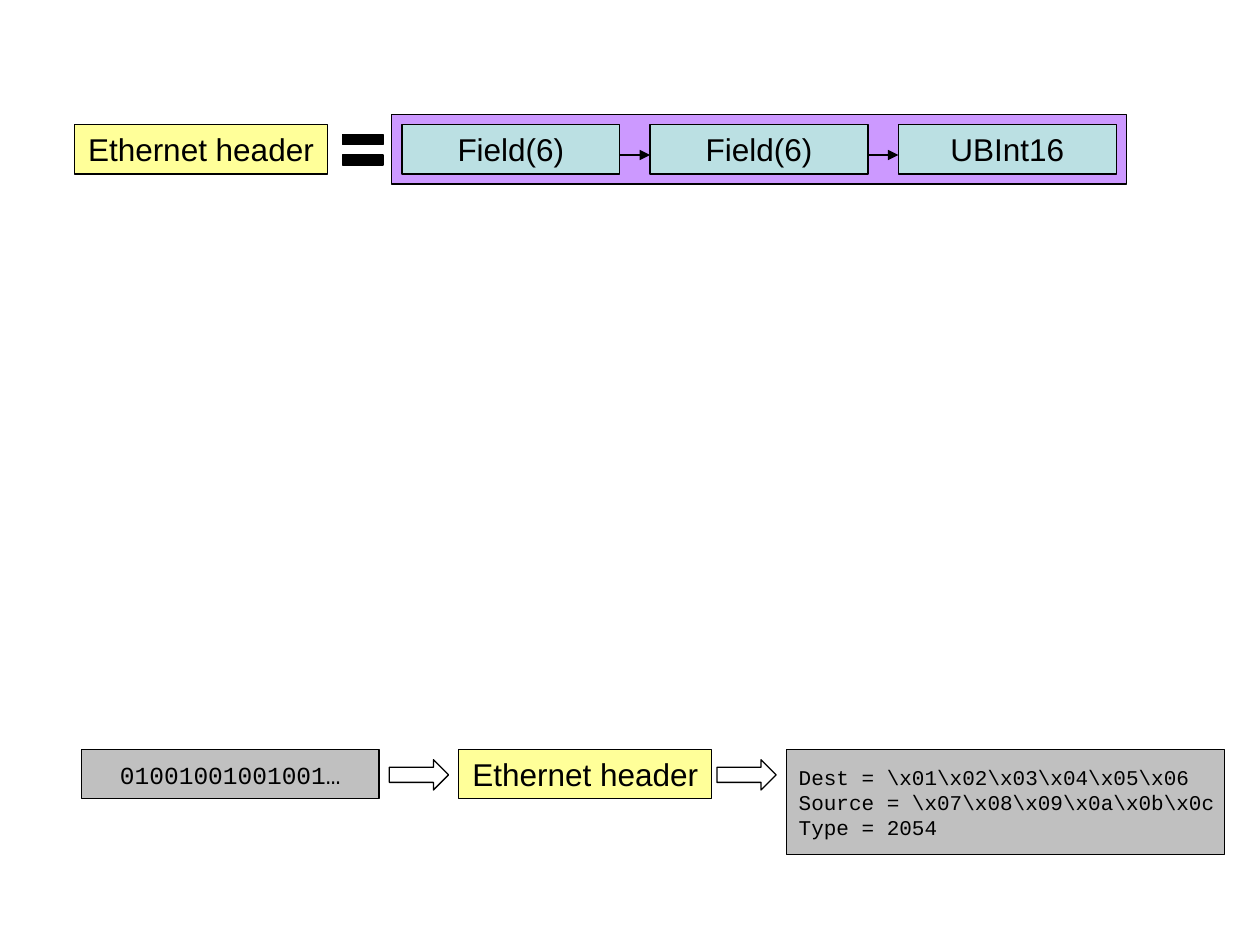
"""Build a slide showing an Ethernet header's structure and how it parses bytes."""
from dataclasses import dataclass

from lxml.etree import SubElement
from pptx import Presentation
from pptx.dml.color import RGBColor
from pptx.enum.shapes import MSO_CONNECTOR as Connector, MSO_SHAPE as Shape
from pptx.enum.text import MSO_ANCHOR as Anchor, PP_ALIGN as Align
from pptx.oxml.ns import qn
from pptx.util import Inches, Pt

HEADER = "Ethernet header"
FIELDS = ["Field(6)", "Field(6)", "UBInt16"]
RAW_BITS = "01001001001001…"
PARSED = [
    r"Dest = \x01\x02\x03\x04\x05\x06",
    r"Source = \x07\x08\x09\x0a\x0b\x0c",
    "Type = 2054",
]


@dataclass(frozen=True)
class Theme:
    """Colours, fonts and type sizes of the slide."""
    ink: str = "000000"
    paper: str = "FFFFFF"
    sequence: str = "CC99FF"
    field: str = "BBE0E3"
    header: str = "FFFF99"
    data: str = "C0C0C0"
    sans: str = "Arial"
    mono: str = "Courier New"
    label_size: int = 18
    bits_size: int = 14
    parsed_size: int = 12
    line_width: float = 0.75


THEME = Theme()
BOX_HEIGHT = 0.39
HEADER_WIDTH = 2.01
TOP_ROW, BOTTOM_ROW = 0.99, 5.95
FIELD_LEFT, FIELD_WIDTH, FIELD_GAP = 3.19, 1.73, 0.24
PADDING = 0.08
LINK_Y = 1.23
BAR_TOP, BAR_PITCH = 1.07, 0.16
ARROW_LEFTS = [3.09, 5.69]


def add_block(shapes, left, top, width, height, fill, kind=Shape.RECTANGLE):
    """Add a filled, thinly outlined shape."""
    block = shapes.add_shape(kind, *map(Inches, (left, top, width, height)))
    block.shadow.inherit = False
    block.fill.solid()
    block.fill.fore_color.rgb = RGBColor.from_string(fill)
    block.line.color.rgb = RGBColor.from_string(THEME.ink)
    block.line.width = Pt(THEME.line_width)
    return block


def write(shape, text, font=THEME.sans, size=THEME.label_size, align=Align.CENTER):
    """Write one paragraph per line of text into a shape."""
    frame = shape.text_frame
    frame.text = text
    frame.word_wrap = False
    frame.vertical_anchor = Anchor.MIDDLE
    for paragraph in frame.paragraphs:
        paragraph.alignment = align
        paragraph.font.name = font
        paragraph.font.size = Pt(size)
        paragraph.font.color.rgb = RGBColor.from_string(THEME.ink)


def link_fields(shapes, source, target):
    """Draw an arrow from one field to the next."""
    link = shapes.add_connector(
        Connector.STRAIGHT, source.left + source.width, Inches(LINK_Y),
        target.left, Inches(LINK_Y))
    link.line.color.rgb = RGBColor.from_string(THEME.ink)
    link.line.width = Pt(THEME.line_width)
    SubElement(link.line._get_or_add_ln(), qn("a:tailEnd"), type="triangle")
    SubElement(link._element.spPr, qn("a:effectLst"))


def add_header(shapes, left, top):
    """Add the named header box."""
    header = add_block(shapes, left, top, HEADER_WIDTH, BOX_HEIGHT, THEME.header)
    write(header, HEADER)


def add_definition(shapes):
    """Show the header as a sequence of linked fields."""
    pitch = FIELD_WIDTH + FIELD_GAP
    sequence_width = len(FIELDS) * pitch - FIELD_GAP + 2 * PADDING
    add_block(shapes, FIELD_LEFT - PADDING, TOP_ROW - PADDING, sequence_width,
              BOX_HEIGHT + 2 * PADDING, THEME.sequence)
    fields = []
    for column, name in enumerate(FIELDS):
        field = add_block(shapes, FIELD_LEFT + column * pitch, TOP_ROW,
                          FIELD_WIDTH, BOX_HEIGHT, THEME.field)
        write(field, name)
        fields.append(field)
    for source, target in zip(fields, fields[1:]):
        link_fields(shapes, source, target)
    add_header(shapes, 0.59, TOP_ROW)
    equals_sign = shapes.add_group_shape()
    for row in range(2):
        add_block(equals_sign.shapes, 2.72, BAR_TOP + row * BAR_PITCH,
                  0.32, BAR_PITCH / 2, THEME.ink)


def add_parsing(shapes):
    """Show raw bits passing through the header into named values."""
    add_header(shapes, 3.64, BOTTOM_ROW)
    bits = add_block(shapes, 0.65, BOTTOM_ROW, 2.36, BOX_HEIGHT, THEME.data)
    write(bits, RAW_BITS, font=THEME.mono, size=THEME.bits_size)
    parsed = add_block(shapes, 6.24, BOTTOM_ROW, 3.48, 0.83, THEME.data)
    write(parsed, "\n".join(PARSED), font=THEME.mono, size=THEME.parsed_size,
          align=Align.LEFT)
    for left in ARROW_LEFTS:
        add_block(shapes, left, BOTTOM_ROW + PADDING, 0.47, 0.24, THEME.paper,
                  kind=Shape.RIGHT_ARROW)


def main():
    presentation = Presentation()
    presentation.slide_width, presentation.slide_height = Inches(10), Inches(7.5)
    slide = presentation.slides.add_slide(presentation.slide_layouts[6])
    add_definition(slide.shapes)
    add_parsing(slide.shapes)
    presentation.save("out.pptx")


if __name__ == "__main__":
    main()
